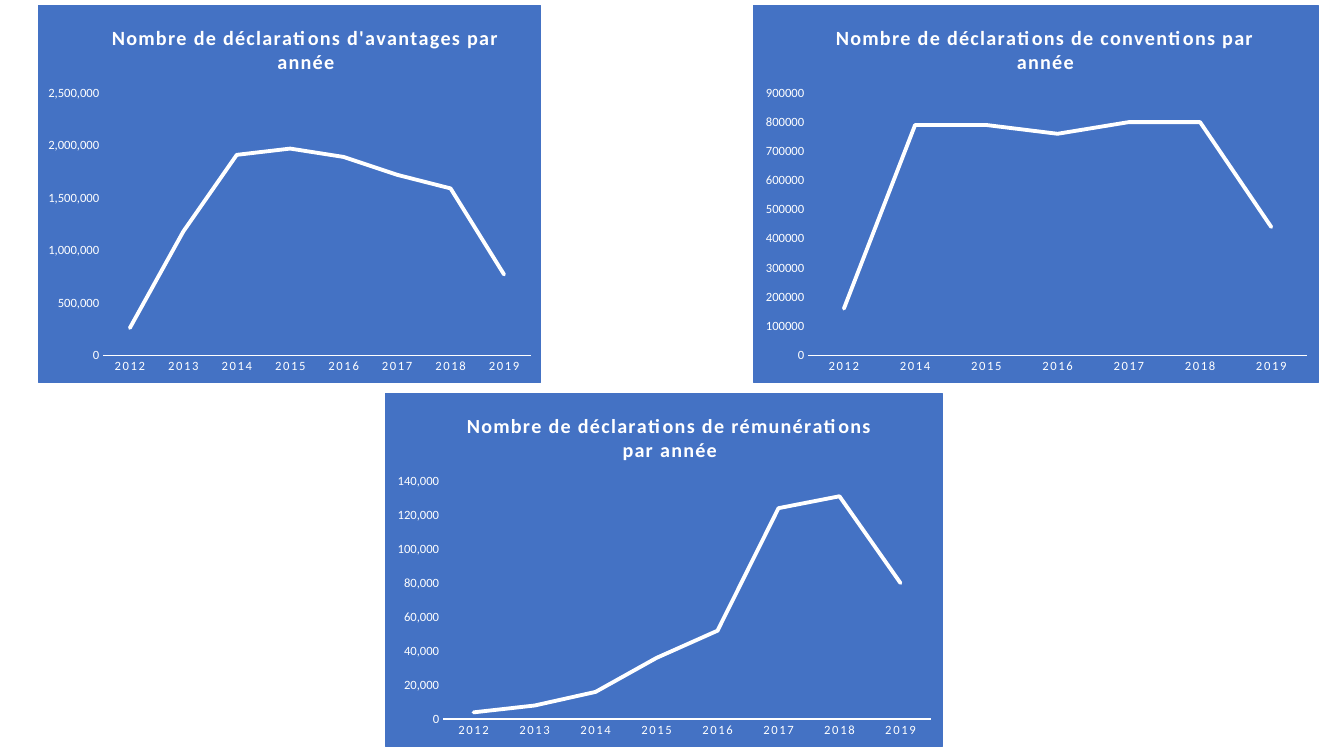
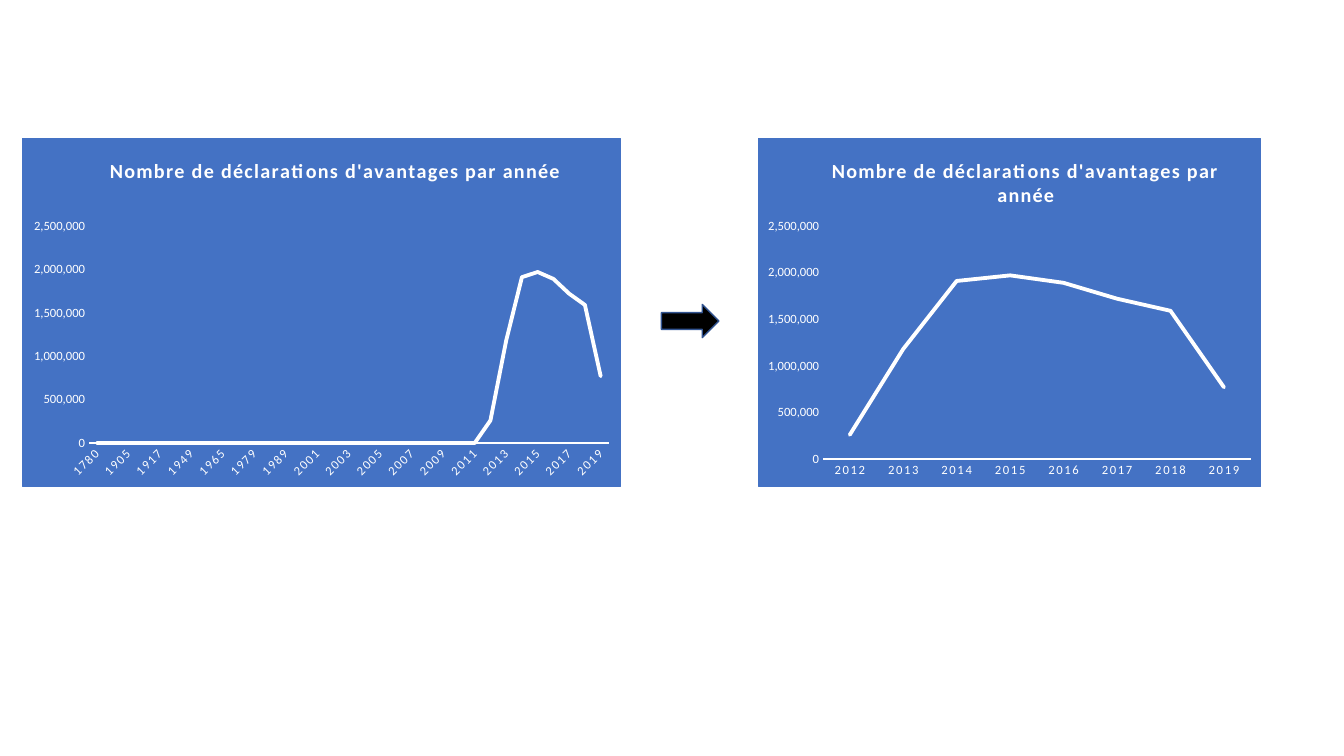
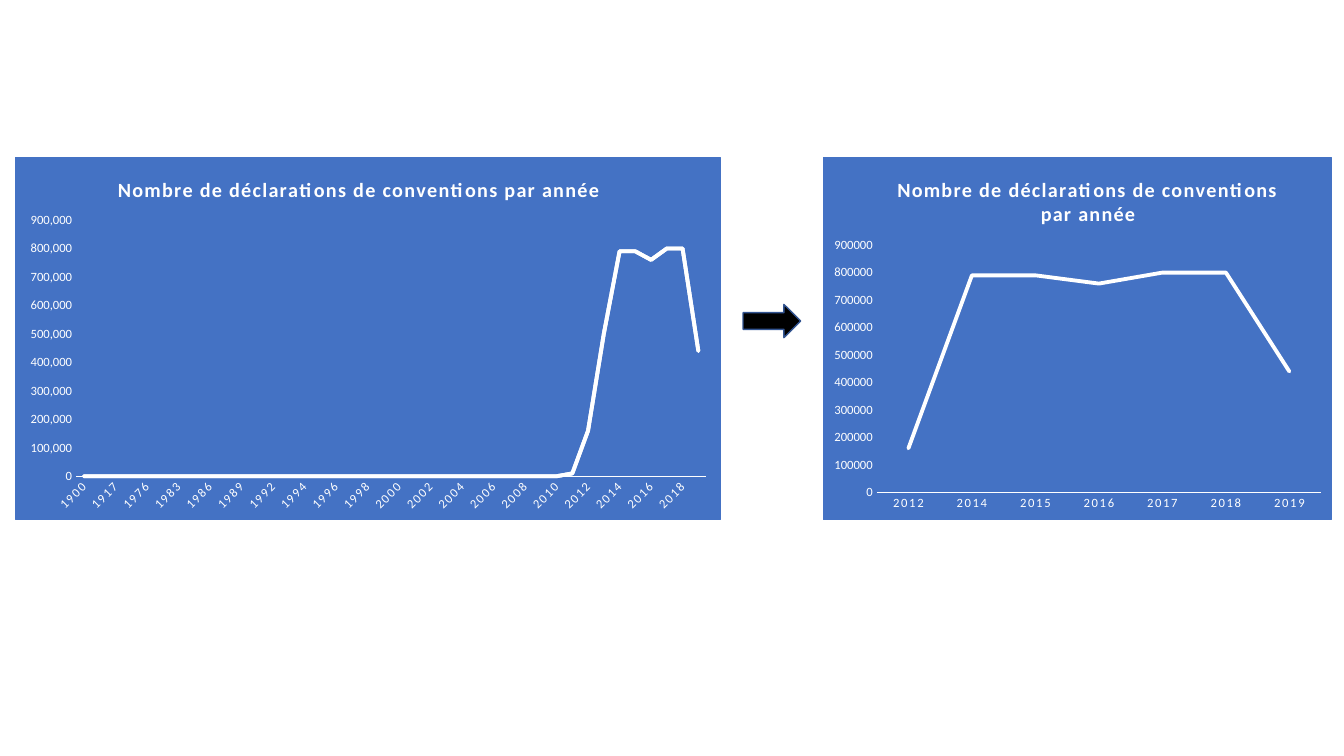
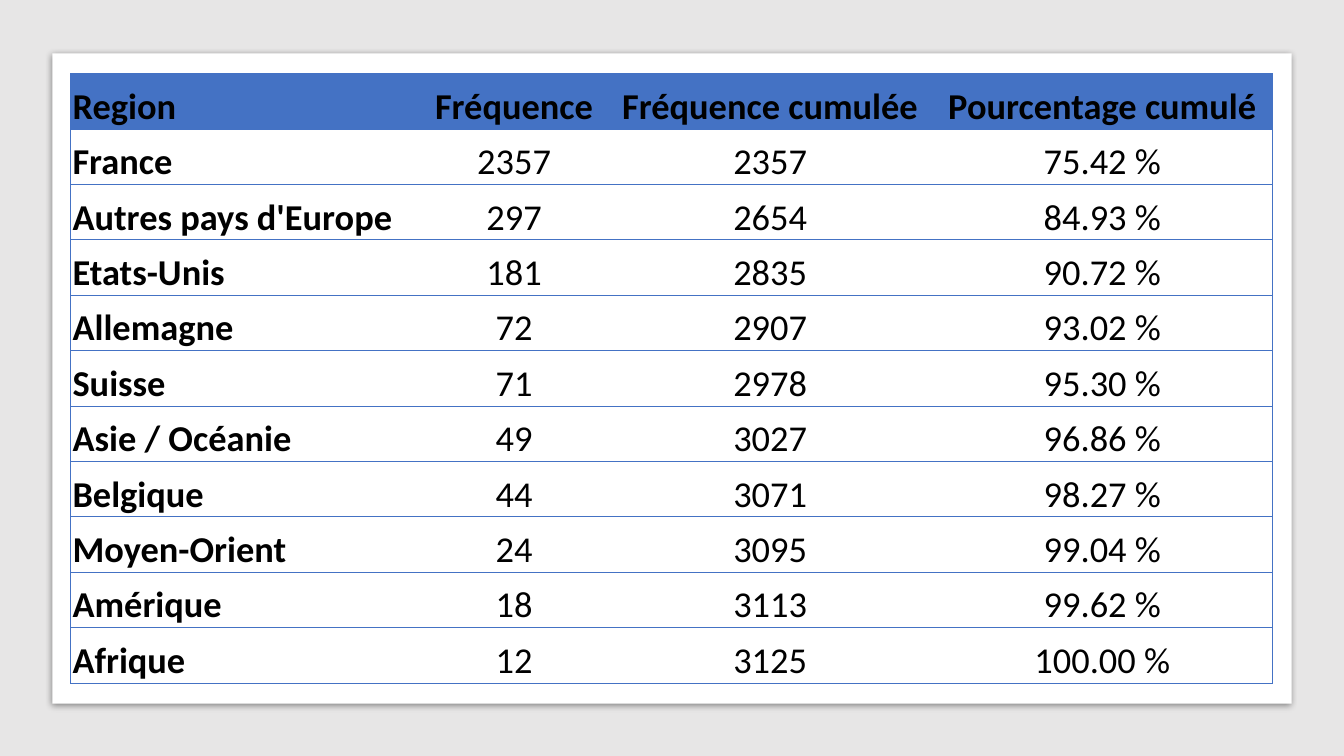
from dataclasses import dataclass

from lxml.etree import SubElement
from pptx import Presentation
from pptx.chart.data import CategoryChartData
from pptx.dml.color import RGBColor
from pptx.enum.chart import XL_CHART_TYPE as ChartType, XL_TICK_MARK as TickMark
from pptx.enum.shapes import MSO_SHAPE as ShapeKind
from pptx.enum.text import MSO_ANCHOR as Anchor, PP_ALIGN as Align
from pptx.oxml import parse_xml
from pptx.oxml.ns import nsdecls, qn
from pptx.util import Inches, Pt


@dataclass(frozen=True)
class Theme:
    font: str = "Calibri"
    blue: str = "4472C4"
    white: str = "FFFFFF"
    black: str = "000000"
    grey: str = "E7E6E6"
    arrow_edge: str = "325491"
    chart_title: float = 14.4
    chart_text: float = 10
    axis_text: float = 9
    table_text: float = 26


THEME = Theme()


@dataclass(frozen=True)
class Box:
    left: float
    top: float
    width: float
    height: float

    def emu(self):
        return tuple(Inches(v) for v in (self.left, self.top, self.width, self.height))


@dataclass(frozen=True)
class Measure:
    """One yearly count with the scale of its value axis."""
    title: str
    years: list[int]
    series: list[list[int]]
    number_format: str
    top_value: int
    step: int
    label_width: float


@dataclass(frozen=True)
class Panel:
    """Place of a chart and the way its title and labels are set."""
    measure: Measure
    box: Box
    title_left: float
    title_lines: int = 2
    slanted: bool = False


# Data
BENEFIT_TITLE = "Nombre de déclarations d'avantages par année"
CONTRACT_TITLE = "Nombre de déclarations de conventions par année"
PAY_TITLE = "Nombre de déclarations de rémunérations par année"
RECENT = list(range(2012, 2020))

BENEFITS = [260000, 1180000, 1910000, 1970000, 1890000, 1720000, 1590000, 770000]
OLD_BENEFIT_YEARS = [1780, 1900, 1905, 1909, 1917, 1947, 1949, 1960, 1965, 1977, 1979,
                     1980, 1989, 1990, *range(2001, 2012)]
CONTRACTS = [160000, 790000, 790000, 760000, 800000, 800000, 440000]
OLD_CONTRACT_YEARS = [1900, 1912, 1917, 1929, 1976, 1980, 1983, 1984, 1986, 1988, 1989,
                      1990, *range(1992, 2012)]
ALL_CONTRACTS = [0] * 31 + [10000, CONTRACTS[0], 500000, *CONTRACTS[1:]]

benefits = Measure(BENEFIT_TITLE, RECENT, [BENEFITS], "#,##0", 2500000, 500000, 0.54)
all_benefits = Measure(BENEFIT_TITLE, OLD_BENEFIT_YEARS + RECENT,
                       [[0] * len(OLD_BENEFIT_YEARS) + BENEFITS],
                       "#,##0", 2500000, 500000, 0.54)
contracts = Measure(CONTRACT_TITLE, [2012, *range(2014, 2020)], [CONTRACTS],
                    "#######0", 900000, 100000, 0.43)
all_contracts = Measure(CONTRACT_TITLE, OLD_CONTRACT_YEARS + RECENT,
                        [ALL_CONTRACTS, ALL_CONTRACTS, [0]],
                        "#,##0", 900000, 100000, 0.46)
pay = Measure(PAY_TITLE, RECENT,
              [[4000, 8000, 16000, 36000, 52000, 124000, 131000, 80000]],
              "#,##0", 140000, 20000, 0.46)

CHART_PAGES = [
    [Panel(benefits, Box(0.38, 0.05, 4.99, 3.75), 0.69),
     Panel(contracts, Box(7.47, 0.05, 5.61, 3.75), 0.78),
     Panel(pay, Box(3.82, 3.9, 5.53, 3.51), 0.77)],
    [Panel(all_benefits, Box(0.22, 1.37, 5.94, 3.46), 0.83, slanted=True),
     Panel(benefits, Box(7.52, 1.37, 4.99, 3.46), 0.69)],
    [Panel(all_contracts, Box(0.15, 1.56, 7, 3.6), 0.98, title_lines=1, slanted=True),
     Panel(contracts, Box(8.16, 1.56, 5.05, 3.6), 0.7)],
]
ARROW_LEFTS = [None, 6.56, 7.37]

REGIONS = [
    ("Region", "Fréquence", "Fréquence cumulée", "Pourcentage cumulé"),
    ("France", "2357", "2357", "75.42 %"),
    ("Autres pays d'Europe", "297", "2654", "84.93 %"),
    ("Etats-Unis", "181", "2835", "90.72 %"),
    ("Allemagne", "72", "2907", "93.02 %"),
    ("Suisse", "71", "2978", "95.30 %"),
    ("Asie / Océanie", "49", "3027", "96.86 %"),
    ("Belgique", "44", "3071", "98.27 %"),
    ("Moyen-Orient", "24", "3095", "99.04 %"),
    ("Amérique", "18", "3113", "99.62 %"),
    ("Afrique", "12", "3125", "100.00 %"),
]
COLUMN_WIDTHS = [3.47, 1.86, 3.22, 3.37]


# Shared helpers
def color(value: str) -> RGBColor:
    return RGBColor.from_string(value)


def set_font(font, size: float, shade: str, bold: bool = False) -> None:
    font.name, font.size, font.bold = THEME.font, Pt(size), bold
    font.color.rgb = color(shade)


def add_block(page, kind, box: Box, fill: str):
    shape = page.shapes.add_shape(kind, *box.emu())
    shape.shadow.inherit = False
    shape.fill.solid()
    shape.fill.fore_color.rgb = color(fill)
    shape.line.fill.background()
    return shape


def set_layout(parent, position: int, **parts) -> None:
    """Give a chart part a fixed layout; lengths are fractions of the chart."""
    old = parent.find(qn("c:layout"))
    if old is not None:
        parent.remove(old)
    layout = parse_xml(f"<c:layout {nsdecls('c')}><c:manualLayout/></c:layout>")
    for name, value in parts.items():
        SubElement(layout[0], qn(f"c:{name}")).set("val", str(value))
    parent.insert(position, layout)


# Charts
def style_axes(chart, panel: Panel) -> None:
    measure = panel.measure
    years, counts = chart.category_axis, chart.value_axis
    for axis in (years, counts):
        axis.has_major_gridlines = False
        axis.major_tick_mark = axis.minor_tick_mark = TickMark.NONE
        set_font(axis.tick_labels.font, THEME.axis_text, THEME.white)
    years.format.line.color.rgb = color(THEME.white)
    years.format.line.width = Pt(1)
    label_text = years._element.find(qn("c:txPr"))
    label_text.find(".//" + qn("a:defRPr")).set("spc", "120")
    if panel.slanted:
        label_text.find(qn("a:bodyPr")).set("rot", "-2700000")
    counts.format.line.fill.background()
    counts.minimum_scale, counts.maximum_scale = 0, measure.top_value
    counts.major_unit = measure.step
    counts.tick_labels.number_format = measure.number_format
    counts.tick_labels.number_format_is_linked = False


def add_title(chart, panel: Panel) -> None:
    chart.has_title = True
    para = chart.chart_title.text_frame.paragraphs[0]
    span = para.add_run()
    span.text = panel.measure.title
    set_font(span.font, THEME.chart_title, THEME.white, bold=True)
    span.font._element.set("spc", "100")
    set_layout(chart.chart_title._element, 1, xMode="edge", yMode="edge",
               x=panel.title_left / panel.box.width, y=0.15 / panel.box.height)


def place_plot(chart, panel: Panel) -> None:
    box = panel.box
    margin = 0.02 * box.width
    left = margin + panel.measure.label_width
    top = 0.37 + 0.25 * panel.title_lines
    bottom = 0.43 if panel.slanted else 0.27
    set_layout(chart.element.find(".//" + qn("c:plotArea")), 0,
               layoutTarget="inner", xMode="edge", yMode="edge",
               x=left / box.width, y=top / box.height,
               w=(box.width - left - margin) / box.width,
               h=(box.height - top - bottom) / box.height)


def add_panel(page, panel: Panel) -> None:
    data = CategoryChartData()
    data.categories = [str(year) for year in panel.measure.years]
    for number, values in enumerate(panel.measure.series, 1):
        data.add_series(f"Series {number}", values)
    chart = page.shapes.add_chart(ChartType.LINE, *panel.box.emu(), data).chart
    chart.has_legend = False
    set_font(chart.font, THEME.chart_text, THEME.black)
    chart.plots[0].vary_by_categories = False
    for series in chart.plots[0].series:
        series.smooth = False
        line = series.format.line
        line.color.rgb, line.width = color(THEME.white), Pt(2.75)
        series._element.find(".//" + qn("a:ln")).set("cap", "rnd")
    style_axes(chart, panel)
    add_title(chart, panel)
    place_plot(chart, panel)
    # Blue background and border
    paint = f'<a:solidFill><a:srgbClr val="{THEME.blue}"/></a:solidFill>'
    chart.element.find(qn("c:chart")).addnext(parse_xml(
        f'<c:spPr {nsdecls("c", "a")}>{paint}<a:ln w="{Pt(0.75)}">{paint}</a:ln></c:spPr>'))


def add_arrow(page, left: float) -> None:
    arrow = add_block(page, ShapeKind.RIGHT_ARROW, Box(left, 3.02, 0.57, 0.33), THEME.black)
    arrow.line.color.rgb = color(THEME.arrow_edge)
    arrow.line.width = Pt(1)


# Table
def set_borders(cell, sides: str) -> None:
    properties = cell._tc.get_or_add_tcPr()
    for position, side in enumerate(sides):
        properties.insert(position, parse_xml(
            f'<a:ln{side} {nsdecls("a")} w="{Pt(0.5)}"><a:solidFill>'
            f'<a:srgbClr val="{THEME.blue}"/></a:solidFill></a:ln{side}>'))


def fill_cell(cell, text: str, row: int, column: int) -> None:
    cell.vertical_anchor = Anchor.BOTTOM
    cell.margin_left = cell.margin_right = cell.margin_top = Inches(0.02)
    cell.margin_bottom = 0
    if row == 0:
        cell.fill.solid()
        cell.fill.fore_color.rgb = color(THEME.blue)
    else:
        cell.fill.background()
    para = cell.text_frame.paragraphs[0]
    para.alignment = Align.CENTER if column else Align.LEFT
    span = para.add_run()
    span.text = text
    set_font(span.font, THEME.table_text, THEME.black, bold=row == 0 or column == 0)
    last = column == len(COLUMN_WIDTHS) - 1
    set_borders(cell, ("L" if column == 0 else "") + ("R" if last else "") + "TB")


def add_region_table(page) -> None:
    box = Box(0.7, 0.73, 11.93, 6.05)
    table = page.shapes.add_table(len(REGIONS), len(COLUMN_WIDTHS), *box.emu()).table
    table.first_row = table.horz_banding = False
    # "No style, no grid"
    style = table._tbl.tblPr.find(qn("a:tableStyleId"))
    style.text = "{2D5ABB26-0587-4C30-8999-92F81FD0307C}"
    for column, width in zip(table.columns, COLUMN_WIDTHS):
        column.width = Inches(width)
    for row, texts in enumerate(REGIONS):
        table.rows[row].height = Inches(box.height / len(REGIONS))
        for column, text in enumerate(texts):
            fill_cell(table.cell(row, column), text, row, column)


def add_card(page) -> None:
    card = add_block(page, ShapeKind.RECTANGLE, Box(0.52, 0.53, 12.29, 6.45), THEME.white)
    card._element.spPr.find(qn("a:effectLst")).append(parse_xml(
        f'<a:outerShdw {nsdecls("a")} blurRad="{Pt(5)}" dist="{Pt(1.4)}" dir="5400000" '
        f'algn="t" rotWithShape="0"><a:srgbClr val="{THEME.black}">'
        '<a:alpha val="43000"/></a:srgbClr></a:outerShdw>'))


def main() -> None:
    deck = Presentation()
    deck.slide_width, deck.slide_height = Inches(13.33), Inches(7.5)
    blank = deck.slide_layouts[6]

    # Chart pages
    for panels, arrow_left in zip(CHART_PAGES, ARROW_LEFTS):
        page = deck.slides.add_slide(blank)
        for panel in panels:
            add_panel(page, panel)
        if arrow_left is not None:
            add_arrow(page, arrow_left)

    # Table page
    page = deck.slides.add_slide(blank)
    add_block(page, ShapeKind.RECTANGLE, Box(0, 0, 13.33, 7.5), THEME.grey)
    add_card(page)
    add_region_table(page)
    deck.save("out.pptx")


if __name__ == "__main__":
    main()
